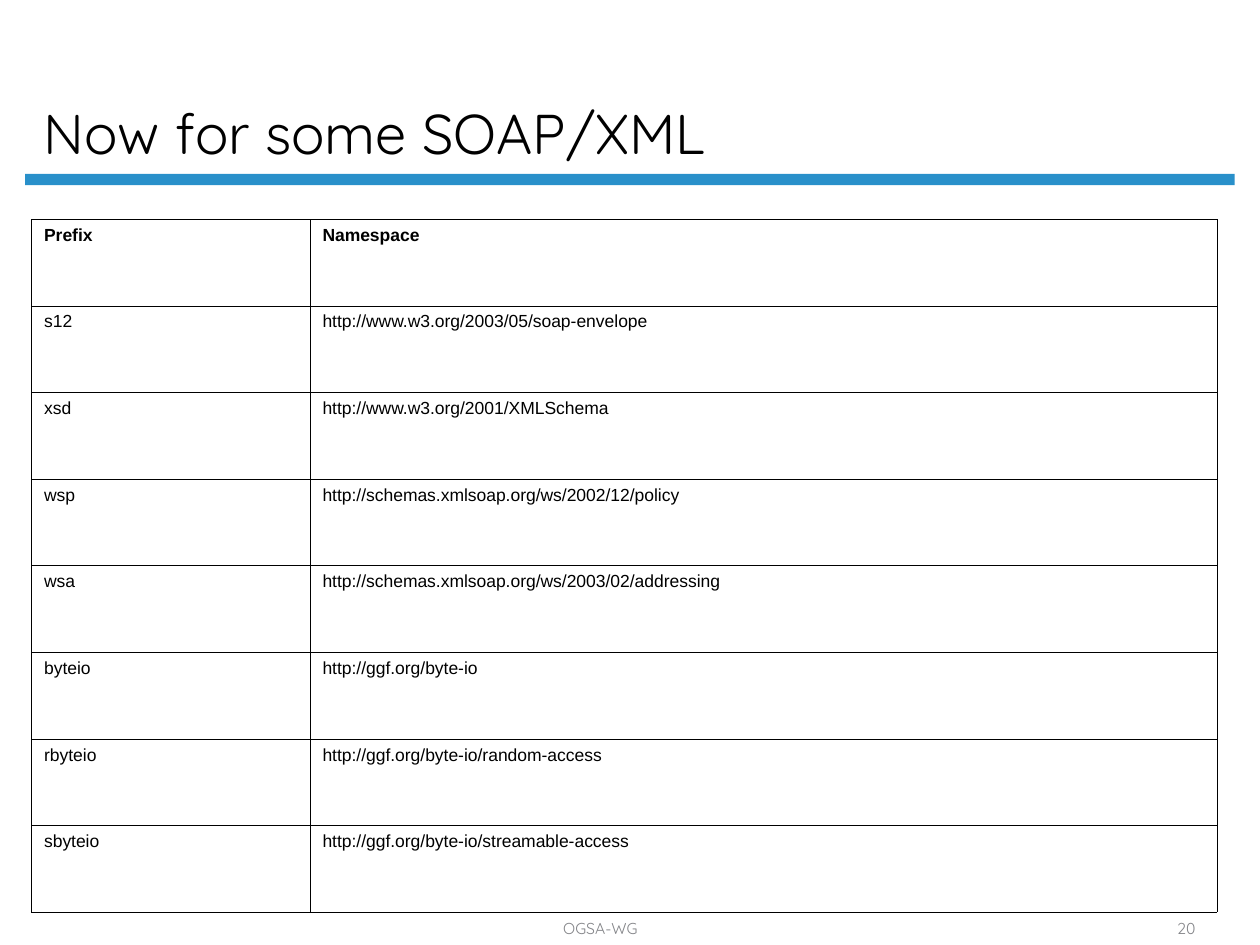
from typing import NamedTuple

from lxml.etree import SubElement
from pptx import Presentation
from pptx.dml.color import RGBColor
from pptx.enum.shapes import MSO_SHAPE as Shape
from pptx.enum.text import MSO_ANCHOR as Anchor, PP_ALIGN as Align
from pptx.oxml.ns import qn
from pptx.util import Inches, Pt

COLORS = {"black": "000000", "blue": "2990CA", "gray": "848589"}
BORDER_WIDTH = Pt(0.34)
COLUMN_WIDTHS = (2.21, 7.2)
TABLE_HEIGHT = 5.5


class Area(NamedTuple):
    left: float
    top: float
    width: float
    height: float

    def lengths(self) -> list:
        return [Inches(value) for value in self]


class Binding(NamedTuple):
    prefix: str
    namespace: str


BINDINGS = [
    Binding("Prefix", "Namespace"),
    Binding("s12", "http://www.w3.org/2003/05/soap-envelope"),
    Binding("xsd", "http://www.w3.org/2001/XMLSchema"),
    Binding("wsp", "http://schemas.xmlsoap.org/ws/2002/12/policy"),
    Binding("wsa", "http://schemas.xmlsoap.org/ws/2003/02/addressing"),
    Binding("byteio", "http://ggf.org/byte-io"),
    Binding("rbyteio", "http://ggf.org/byte-io/random-access"),
    Binding("sbyteio", "http://ggf.org/byte-io/streamable-access"),
]


def write_text(frame, text: str, *, size: float, font: str = "Quicksand",
               color: str = "black", bold: bool = False,
               align=Align.LEFT, spacing: float = 1.0) -> None:
    para = frame.paragraphs[0]
    para.alignment = align
    para.line_spacing = spacing
    span = para.add_run()
    span.text = text
    span.font.name = font
    span.font.size = Pt(size)
    span.font.bold = bold
    span.font.color.rgb = RGBColor.from_string(COLORS[color])


def add_text(page, area: Area, text: str, **text_format) -> None:
    box = page.shapes.add_textbox(*area.lengths())
    box.text_frame.word_wrap = True
    box.text_frame.vertical_anchor = Anchor.BOTTOM
    write_text(box.text_frame, text, **text_format)


def add_rule(page, area: Area) -> None:
    rule = page.shapes.add_shape(Shape.RECTANGLE, *area.lengths())
    rule.shadow.inherit = False
    rule.fill.solid()
    rule.fill.fore_color.rgb = RGBColor.from_string(COLORS["blue"])
    rule.line.fill.background()


def add_borders(cell) -> None:
    properties = cell._tc.get_or_add_tcPr()
    for side in ("a:lnL", "a:lnR", "a:lnT", "a:lnB"):
        line = SubElement(properties, qn(side), w=str(BORDER_WIDTH))
        fill = SubElement(line, qn("a:solidFill"))
        SubElement(fill, qn("a:srgbClr"), val=COLORS["black"])


def add_namespace_table(page, left: float, top: float) -> None:
    area = Area(left, top, sum(COLUMN_WIDTHS), TABLE_HEIGHT)
    table = page.shapes.add_table(len(BINDINGS), len(COLUMN_WIDTHS), *area.lengths()).table
    table.first_row = False
    table.horz_banding = False
    for column, width in zip(table.columns, COLUMN_WIDTHS):
        column.width = Inches(width)
    for index, (row, binding) in enumerate(zip(table.rows, BINDINGS)):
        row.height = Inches(TABLE_HEIGHT / len(BINDINGS))
        for cell, text in zip(row.cells, binding):
            add_borders(cell)
            cell.fill.background()
            write_text(cell.text_frame, text, size=10, font="Arial", bold=index == 0)


def main() -> None:
    deck = Presentation()
    deck.slide_width = Inches(10)
    deck.slide_height = Inches(7.5)
    page = deck.slides.add_slide(deck.slide_layouts[6])

    add_rule(page, Area(0.2, 1.38, 9.6, 0.09))
    add_text(page, Area(0.25, 0.12, 8.56, 1.25), "Now for some SOAP/XML", size=32, spacing=0.9)
    add_namespace_table(page, 0.25, 1.74)
    footer = {"size": 9, "color": "gray", "align": Align.CENTER}
    add_text(page, Area(2.33, 7.25, 4.87, 0.24), "OGSA-WG", **footer)
    add_text(page, Area(9, 7.25, 0.83, 0.24), "20", **footer)
    deck.save("out.pptx")


if __name__ == "__main__":
    main()
